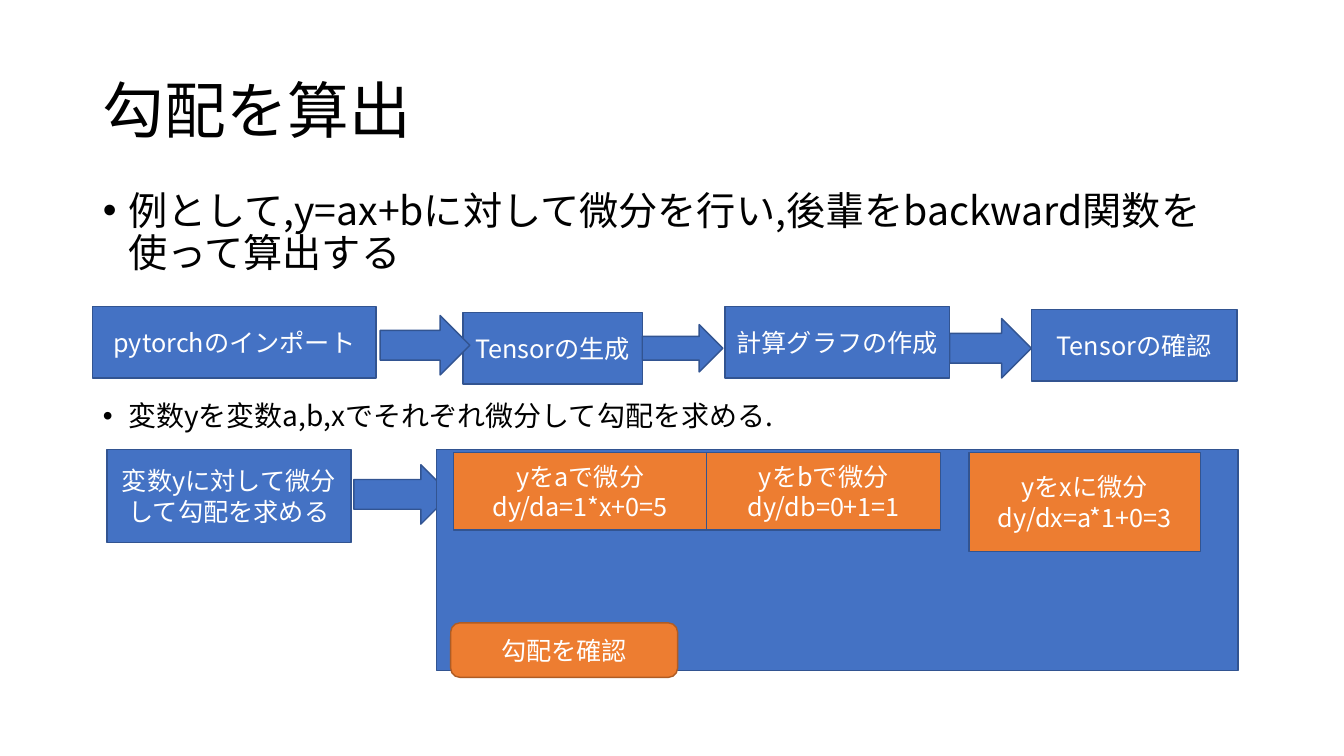
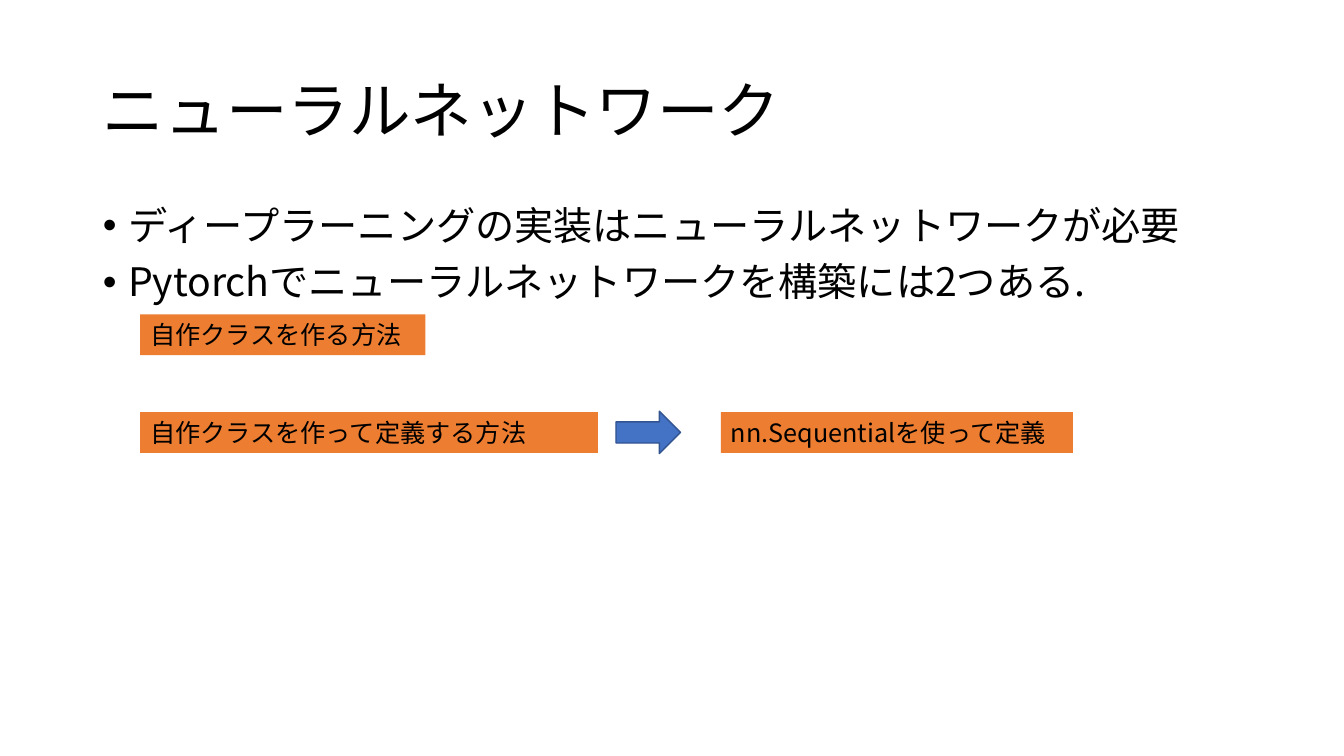
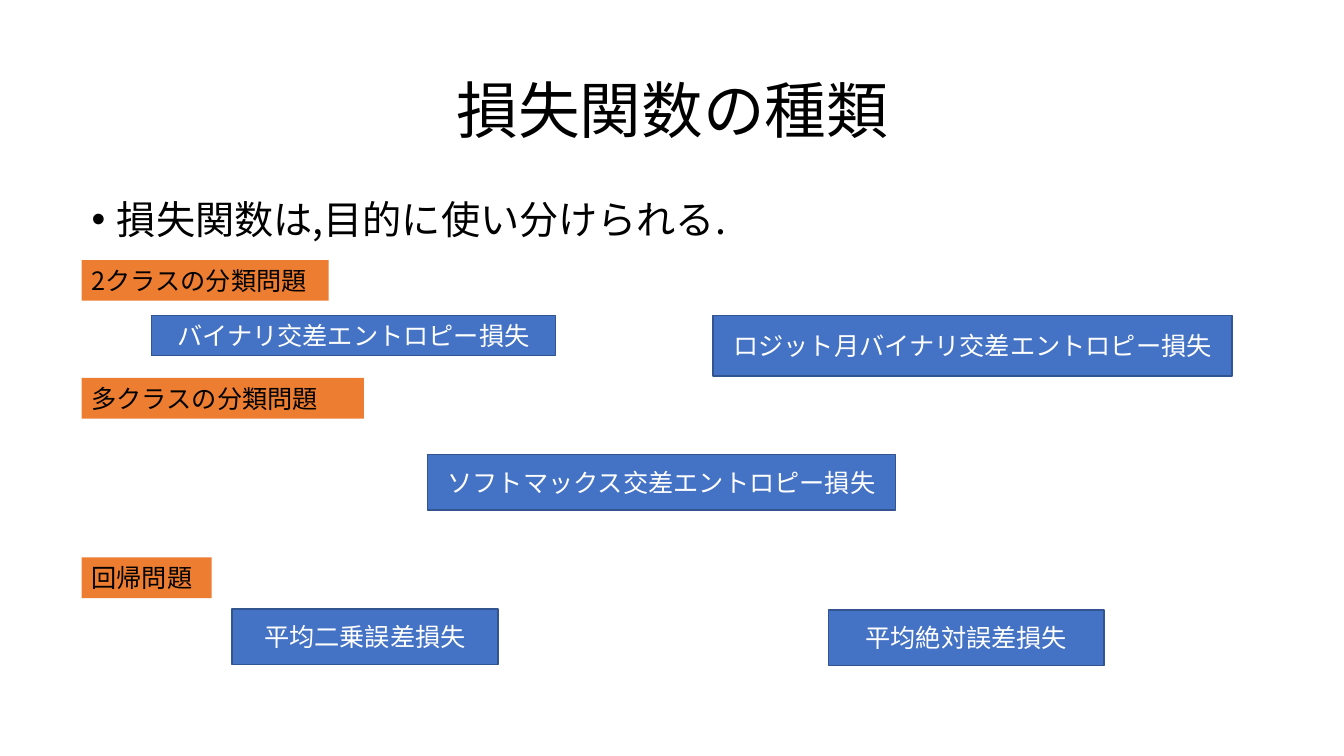
from dataclasses import dataclass

from pptx import Presentation
from pptx.dml.color import RGBColor
from pptx.enum.shapes import MSO_SHAPE
from pptx.enum.text import MSO_ANCHOR, MSO_AUTO_SIZE, PP_ALIGN
from pptx.oxml.ns import qn
from pptx.util import Inches, Pt

COLORS = {
    "blue": "4472C4",
    "blue_edge": "325491",
    "orange": "ED7D31",
    "orange_edge": "AF5C24",
    "black": "000000",
    "white": "FFFFFF",
}
FONT = "Noto Sans CJK JP"
ROWS = 75
CELL = Inches(7.5) / ROWS
TITLE_BOX = (9.2, 4, 115, 14.5)
BODY_SIZE = (115, 47.6)
CENTERED = {"alignment": PP_ALIGN.CENTER}
BODY_PARA = {"alignment": PP_ALIGN.LEFT, "line_spacing": 0.9, "space_before": Pt(10)}


@dataclass
class Region:
    """A part of a page whose contents are placed from its top left corner, in grid cells."""

    page: object
    left: float
    top: float

    def place(self, left, top, width, height):
        """Return a box of the region in slide lengths."""
        cells = (self.left + left, self.top + top, width, height)
        return [round(cell * CELL) for cell in cells]


def apply(target, values):
    """Set the attributes of an object from a dict."""
    for name, value in values.items():
        setattr(target, name, value)


def write(frame, lines, size, color, para_format):
    """Fill a text frame with one paragraph for each line."""
    for index, line in enumerate(lines):
        para = frame.paragraphs[0] if index == 0 else frame.add_paragraph()
        apply(para, para_format)
        span = para.add_run()
        span.text = line
        apply(span.font, {"name": FONT, "size": Pt(size)})
        span.font.color.rgb = RGBColor.from_string(COLORS[color])
        east_asian = span.font._element.makeelement(qn("a:ea"), {"typeface": FONT})
        span.font._element.find(qn("a:latin")).addnext(east_asian)


def add_box(region, box, text="", fill="blue", edge="blue_edge", kind=MSO_SHAPE.RECTANGLE):
    """Add a filled and outlined shape with centred white text."""
    shape = region.page.shapes.add_shape(kind, *region.place(*box))
    shape.shadow.inherit = False
    shape.fill.solid()
    shape.fill.fore_color.rgb = RGBColor.from_string(COLORS[fill])
    shape.line.color.rgb = RGBColor.from_string(COLORS[edge])
    shape.line.width = Pt(1)
    if text:
        apply(shape.text_frame, {"word_wrap": True, "vertical_anchor": MSO_ANCHOR.MIDDLE})
        write(shape.text_frame, text.split("\n"), 18, "white", CENTERED)
    return shape


def add_arrow(region, box):
    """Add a blue block arrow pointing right."""
    add_box(region, box, kind=MSO_SHAPE.RIGHT_ARROW)


def add_label(region, left, top, width, text):
    """Add an orange text label with black text."""
    label = region.page.shapes.add_textbox(*region.place(left, top, width, 4.04))
    label.fill.solid()
    label.fill.fore_color.rgb = RGBColor.from_string(COLORS["orange"])
    apply(label.text_frame, {"word_wrap": True, "auto_size": MSO_AUTO_SIZE.SHAPE_TO_FIT_TEXT})
    write(label.text_frame, [text], 18, "black", {"alignment": PP_ALIGN.LEFT})


def add_page(deck, title, items, body_corner, title_align=PP_ALIGN.LEFT):
    """Add a page with a title and a bulleted list."""
    page = deck.slides.add_slide(deck.slide_layouts[1])
    grid = Region(page, 0, 0)
    heading, body = page.placeholders
    for holder, box in ((heading, TITLE_BOX), (body, (*body_corner, *BODY_SIZE))):
        sides = zip(("left", "top", "width", "height"), grid.place(*box))
        apply(holder, dict(sides))
        holder.text_frame.auto_size = MSO_AUTO_SIZE.NONE
    heading.text_frame.vertical_anchor = MSO_ANCHOR.MIDDLE
    write(heading.text_frame, [title], 44, "black",
          {"alignment": title_align, "line_spacing": 0.9})
    write(body.text_frame, items, 28, "black", BODY_PARA)
    for para in body.text_frame.paragraphs:
        properties = para._p.get_or_add_pPr()
        properties.set("marL", str(Inches(0.25)))
        properties.set("indent", str(-Inches(0.25)))
    return page, body


def add_flow(region):
    """Add the row of preparation steps joined by arrows."""
    steps = [
        (0, 0, 28.1, "pytorchのインポート"),
        (36.7, 0.6, 17.8, "Tensorの生成"),
        (62.7, 0, 22.3, "計算グラフの作成"),
        (93.1, 0.3, 20.4, "Tensorの確認"),
    ]
    for left, top, width, text in steps:
        add_box(region, (left, top, width, 7.1), text)
    for box in ((28.5, 0.9, 8.9, 5.9), (54.5, 1.8, 8, 4.7), (85, 1.2, 8.1, 5.9)):
        add_arrow(region, box)


def add_derivatives(region):
    """Add the differentiation step and the panel of its results."""
    add_box(region, (0, 0, 24.2, 9.2), "変数yに対して微分して勾配を求める")
    add_arrow(region, (24.5, 1.5, 9.6, 5.9))
    add_box(region, (32.7, 0, 79.5, 21.9))
    add_box(region, (34.1, 17.2, 22.5, 5.4), "勾配を確認",
            "orange", "orange_edge", MSO_SHAPE.ROUNDED_RECTANGLE)
    results = [
        (34.4, 25.1, 7.7, "yをaで微分\ndy/da=1*x+0=5"),
        (59.5, 23.2, 7.7, "yをbで微分\ndy/db=0+1=1"),
        (85.5, 23, 9.8, "yをxに微分\ndy/dx=a*1+0=3"),
    ]
    for left, width, height, text in results:
        add_box(region, (left, 0.3, width, height), text, "orange")


def add_methods(region):
    """Add the two ways of building a network."""
    add_label(region, 0, 0, 28.3, "自作クラスを作る方法")
    add_label(region, 0, 9.7, 45.4, "自作クラスを作って定義する方法")
    add_arrow(region, (47.2, 9.6, 6.4, 4.2))
    add_label(region, 57.6, 9.7, 34.9, "nn.Sequentialを使って定義")


def add_problem(region, label, width, losses):
    """Add a problem label and the loss functions that suit it."""
    add_label(region, 0, 0, width, label)
    for *box, text in losses:
        add_box(region, box, text)


def gradient_page(deck):
    """Build the page on computing gradients."""
    items = [
        "例として,y=ax+bに対して微分を行い,後輩をbackward関数を使って算出する",
        "変数yを変数a,b,xでそれぞれ微分して勾配を求める.",
    ]
    page, body = add_page(deck, "勾配を算出", items, (9.2, 18.5))
    detail = body.text_frame.paragraphs[1]
    detail.space_before = Pt(90)
    detail.runs[0].font.size = Pt(20)
    add_flow(Region(page, 9.2, 30.4))
    add_derivatives(Region(page, 10.6, 44.6))


def network_page(deck):
    """Build the page on neural networks."""
    items = [
        "ディープラーニングの実装はニューラルネットワークが必要",
        "Pytorchでニューラルネットワークを構築には2つある.",
    ]
    page, _ = add_page(deck, "ニューラルネットワーク", items, (9.2, 20))
    add_methods(Region(page, 13.9, 31.2))


def loss_page(deck):
    """Build the page on kinds of loss functions."""
    page, _ = add_page(deck, "損失関数の種類", ["損失関数は,目的に使い分けられる."],
                       (8.1, 19.4), PP_ALIGN.CENTER)
    problems = [
        (25.8, "2クラスの分類問題", 24.5, [
            (6.9, 5.5, 40.1, 4, "バイナリ交差エントロピー損失"),
            (62.6, 5.5, 51.5, 6, "ロジット月バイナリ交差エントロピー損失"),
        ]),
        (37.5, "多クラスの分類問題", 28, [
            (34.3, 7.6, 46.4, 5.5, "ソフトマックス交差エントロピー損失"),
        ]),
        (55.3, "回帰問題", 12.9, [
            (14.9, 5.1, 26.4, 5.5, "平均二乗誤差損失"),
            (74.1, 5.2, 27.3, 5.5, "平均絶対誤差損失"),
        ]),
    ]
    for top, label, width, losses in problems:
        add_problem(Region(page, 8.1, top), label, width, losses)


def main():
    """Build the deck and save it."""
    deck = Presentation()
    apply(deck, {"slide_width": Inches(13.33), "slide_height": Inches(7.5)})
    for build in (gradient_page, network_page, loss_page):
        build(deck)
    deck.save("out.pptx")


if __name__ == "__main__":
    main()
